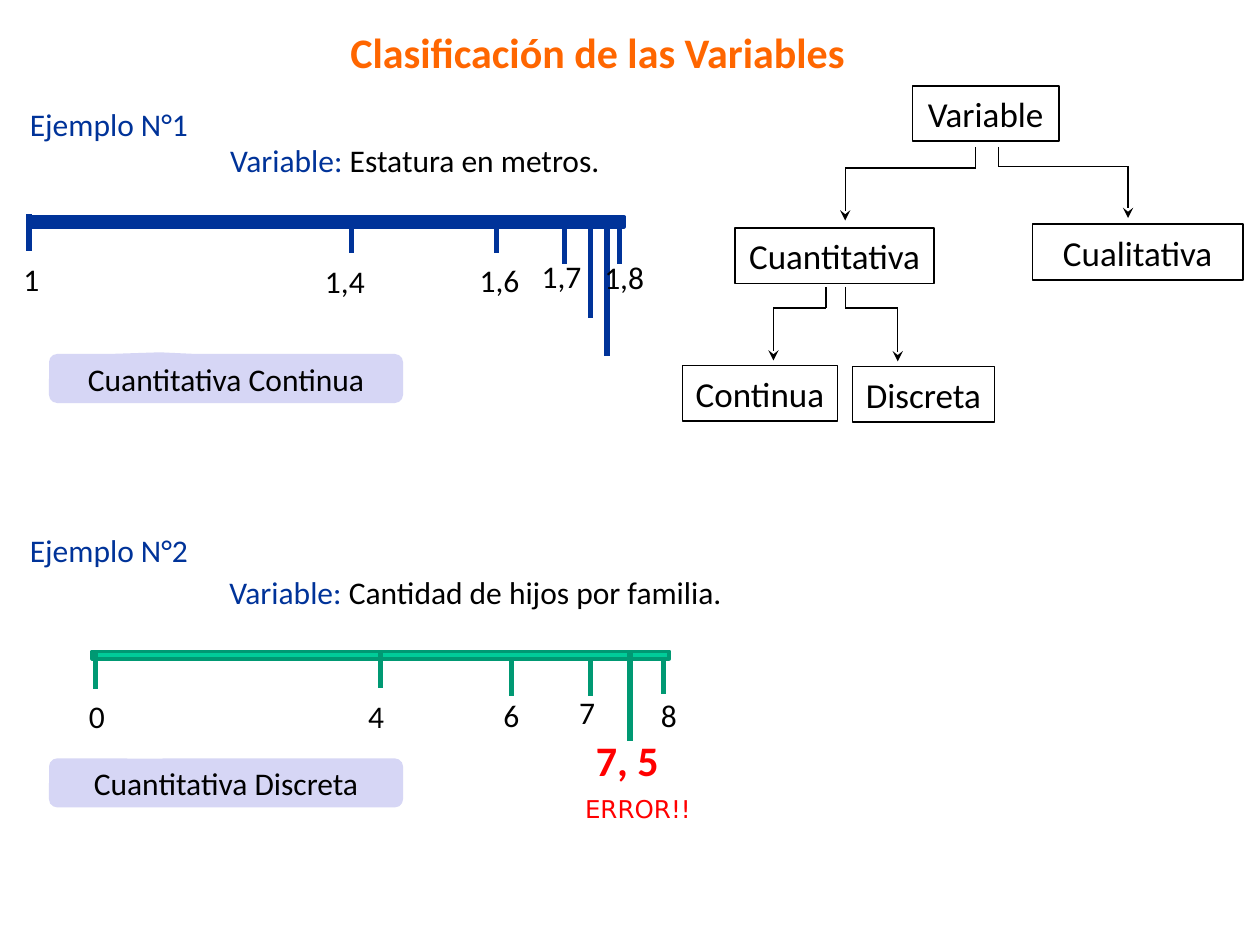
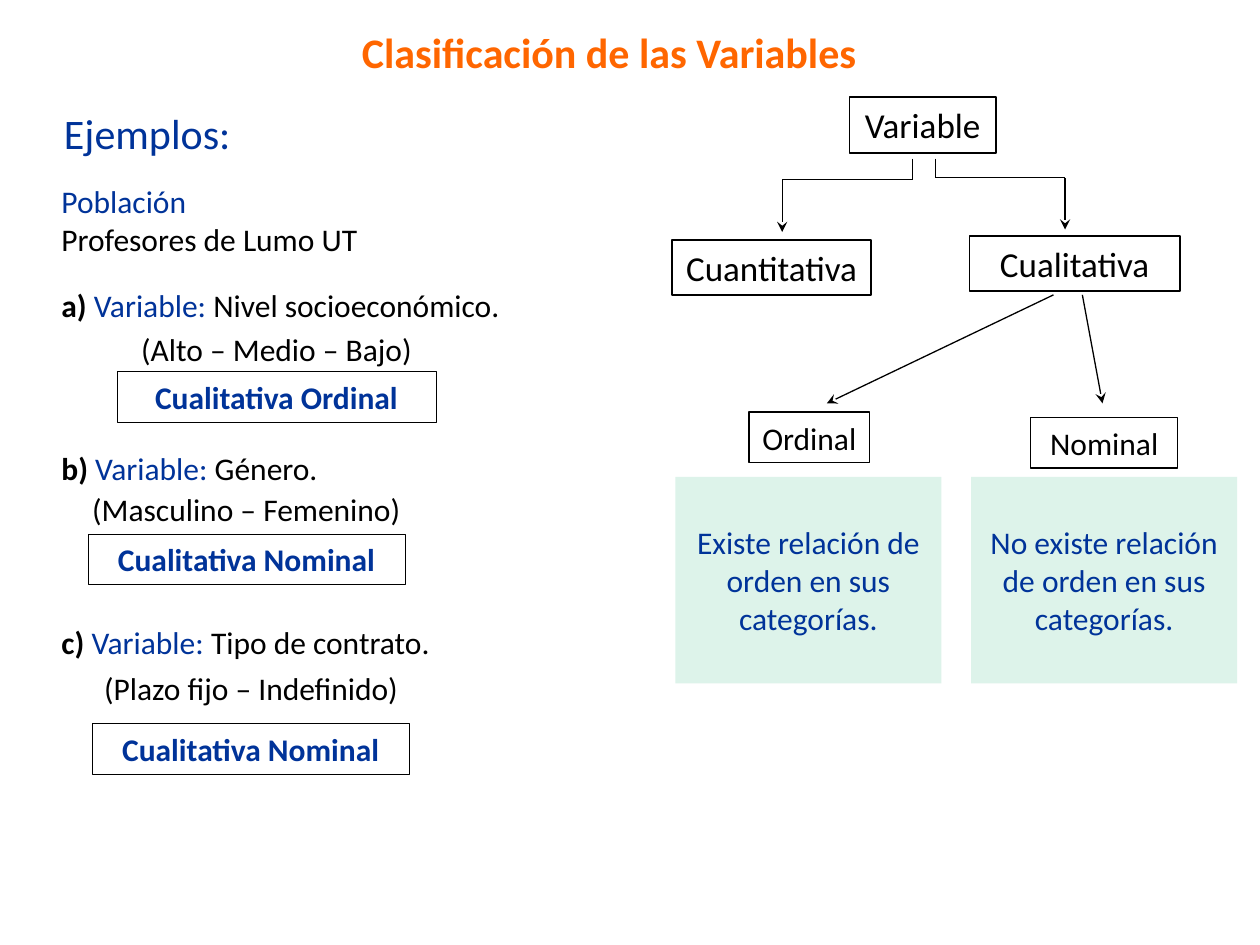
from dataclasses import dataclass
from lxml import etree
from pptx import Presentation
from pptx.dml import color
from pptx.enum import shapes, text
from pptx.oxml import ns
from pptx.util import Pt


@dataclass(frozen=True)
class Theme:
    font: str = "Calibri"
    alert_font: str = "DejaVu Sans"
    title: int = 24
    node: int = 20
    body: int = 18
    alert_size: int = 14
    orange: str = "FF6600"
    navy: str = "003399"
    black: str = "000000"
    white: str = "FFFFFF"
    red: str = "FF0000"
    green: str = "00CC99"
    dark_green: str = "009973"
    mint: str = "DDF3EA"
    lilac: str = "D6D6F5"


THEME = Theme()
KIND = shapes.MSO_SHAPE
ALIGN = text.PP_ALIGN
LINE_HEIGHT = 29


def rgb(code):
    return color.RGBColor.from_string(code)


def span(words, tint=THEME.black, size=THEME.body, bold=False, font=THEME.font):
    return words, tint, size, bold, font


def write(box, paragraphs, align=ALIGN.CENTER, wrap=True):
    frame = box.text_frame
    frame.word_wrap = wrap
    frame.vertical_anchor = text.MSO_ANCHOR.MIDDLE
    for index, spans in enumerate(paragraphs):
        para = frame.add_paragraph() if index else frame.paragraphs[0]
        para.alignment = align
        for words, tint, size, bold, font in spans:
            run = para.add_run()
            run.text = words
            run.font.name = font
            run.font.size = Pt(size)
            run.font.bold = bold
            run.font.color.rgb = rgb(tint)


def add_text(page, area, spans, align=ALIGN.LEFT, wrap=True):
    box = page.shapes.add_textbox(*map(Pt, area))
    write(box, [spans], align, wrap)


def add_box(page, area, paragraphs=(), kind=KIND.RECTANGLE, fill=None, line=None,
            weight=0.75, align=ALIGN.CENTER, wrap=True, adjust=()):
    box = page.shapes.add_shape(kind, *map(Pt, area))
    box.shadow.inherit = False
    for index, value in enumerate(adjust):
        box.adjustments[index] = value
    if fill:
        box.fill.solid()
        box.fill.fore_color.rgb = rgb(fill)
    else:
        box.fill.background()
    if line:
        box.line.color.rgb = rgb(line)
        box.line.width = Pt(weight)
    else:
        box.line.fill.background()
    write(box, paragraphs, align, wrap)


def add_line(page, start, end, tint=THEME.black, weight=0.75, arrow=False):
    line = page.shapes.add_connector(
        shapes.MSO_CONNECTOR.STRAIGHT, *map(Pt, (*start, *end)))
    line.line.color.rgb = rgb(tint)
    line.line.width = Pt(weight)
    if arrow:
        etree.SubElement(line.line._get_or_add_ln(), ns.qn("a:tailEnd"), type="stealth")
    etree.SubElement(line._element.spPr, ns.qn("a:effectLst"))


def add_title(page, left):
    add_text(page, (left, 11.5, 483, 36),
             [span("Clasificación de las Variables", THEME.orange, THEME.title, True)],
             ALIGN.CENTER)


def add_node(page, area, label, size=THEME.node, weight=0.75):
    add_box(page, area, [[span(label, size=size)]], line=THEME.black,
            weight=weight, wrap=False)


def add_elbow(page, start, bend, tip):
    corner = tip[0], bend
    add_line(page, start, (start[0], bend))
    add_line(page, (start[0], bend), corner)
    add_line(page, corner, tip, arrow=True)


def variable_tree(page, left, top):
    add_node(page, (left + 101.5, top, 83.5, 31.7), "Variable", weight=1)
    add_node(page, (left, top + 81.4, 113.8, 31.7), "Cuantitativa", weight=1)
    add_node(page, (left + 170, top + 79.2, 120.2, 31.7), "Cualitativa", weight=1)
    add_elbow(page, (left + 137.5, top + 35), top + 47, (left + 63, top + 77))
    add_elbow(page, (left + 150.5, top + 35), top + 46, (left + 224.6, top + 75.6))


def quantitative_branch(page, left, top):
    add_elbow(page, (left + 82, top), top + 12, (left + 52, top + 42))
    add_elbow(page, (left + 93, top), top + 12, (left + 123, top + 42.5))
    add_node(page, (left, top + 45, 88.6, 31.7), "Continua")
    add_node(page, (left + 97, top + 45.5, 81.4, 31.7), "Discreta")


def qualitative_branch(page, left, top):
    add_line(page, (left + 216, top), (left + 86.5, top + 62), arrow=True)
    add_line(page, (left + 232.5, top), (left + 244, top + 62), arrow=True)
    add_node(page, (left + 42, top + 67, 69, LINE_HEIGHT), "Ordinal", THEME.body)
    add_node(page, (left + 203, top + 70, 84, LINE_HEIGHT), "Nominal", THEME.body)
    meanings = (("Existe relación de", "orden en sus", "categorías."),
                ("No existe relación", "de orden en sus", "categorías."))
    for column, lines in enumerate(meanings):
        add_box(page, (left + 169 * column, top + 104, 152, 118),
                [[span(line, THEME.navy)] for line in lines], fill=THEME.mint)


def example(page, top, number, topic, statement_area, verdict_top, verdict, pointer):
    add_box(page, statement_area,
            [[span("Variable: ", THEME.navy), span(topic)]],
            fill=THEME.white, align=ALIGN.JUSTIFY)
    add_text(page, (10, top, 152, LINE_HEIGHT), [span(f"Ejemplo N°{number}", THEME.navy)])
    add_box(page, (28, verdict_top, 202.3, 28), [[span(verdict)]],
            KIND.ROUNDED_RECTANGULAR_CALLOUT, THEME.lilac, adjust=(*pointer, 0.167))


def number_scale(page, area, fill, tint, ticks, labels):
    left, top = area[:2]
    add_box(page, area, kind=KIND.FLOWCHART_PROCESS, fill=fill, line=tint, weight=2)
    for x, start, length in ticks:
        add_line(page, (left + x, top + start), (left + x, top + start + length), tint, 3)
    for words, right, drop in labels:
        edge = left + right
        start = max(0, edge - 45)
        add_text(page, (start, top + drop, edge - start, LINE_HEIGHT),
                 [span(words)], ALIGN.RIGHT)


def quantitative_slide(page):
    add_title(page, 100)
    variable_tree(page, 420, 49)
    quantitative_branch(page, 390, 164)

    example(page, 56, 1, "Estatura en metros.", (124.5, 66.3, 227.5, 50.4),
            202.3, "Cuantitativa Continua", (-0.187, -0.535))
    number_scale(
        page, (16.5, 123.8, 340, 5.8), THEME.navy, THEME.navy,
        [(0, -1.4, 21), (184.4, 0, 21), (267.2, 0, 21), (306, 5.8, 21),
         (337.7, 5.8, 21), (321, 5.8, 52), (330.3, 5.8, 74)],
        [("1", 13, 21), ("1,4", 199, 22.4), ("1,6", 287.4, 21.6),
         ("1,7", 322.8, 19.5), ("1,8", 358.6, 20.2)])

    example(page, 300, 2, "Cantidad de hijos por familia.", (124, 313.2, 312.5, 50.4),
            433.4, "Cuantitativa Discreta", (-0.243, -0.495))
    number_scale(
        page, (52.6, 372.2, 329.8, 4.3), THEME.green, THEME.dark_green,
        [(2, 0.7, 21), (164.8, 0, 21), (239.7, 4.3, 21), (285, 4.3, 21),
         (326.5, 3.6, 21), (307.4, -0.7, 52)],
        [("0", 14.4, 22.4), ("4", 174, 22.4), ("6", 251.2, 21.6),
         ("7", 294.5, 20.2), ("8", 341.3, 21.6)])
    add_text(page, (326.5, 416, 57, 36),
             [span("7, 5", THEME.red, THEME.title, True)], ALIGN.RIGHT)
    add_text(page, (326.2, 450, 75.6, 24.5),
             [span("ERROR!!", THEME.red, THEME.alert_size, font=THEME.alert_font)],
             ALIGN.RIGHT, False)


def qualitative_example(page, top, letter, topic, categories, kind, values_area, kind_area):
    plain = {"fill": THEME.white, "line": THEME.white, "weight": 2}
    values_left, values_drop, values_width = values_area
    kind_left, kind_drop, kind_width = kind_area
    add_box(page, (values_left, top + values_drop, values_width, LINE_HEIGHT),
            [[span(categories)]], **plain)
    add_box(page, (28, top, 270, LINE_HEIGHT),
            [[span(f"{letter}) ", bold=True), span("Variable: ", THEME.navy), span(topic)]],
            align=ALIGN.LEFT)
    add_box(page, (kind_left, top + kind_drop, kind_width, LINE_HEIGHT),
            [[span(kind, THEME.navy, bold=True)]],
            fill=THEME.white, line=THEME.black, weight=0.25)


def qualitative_slide(page):
    add_title(page, 106.6)
    variable_tree(page, 384, 55.6)
    qualitative_branch(page, 386, 168.5)
    add_box(page, (28, 56.2, 112.3, 39.6),
            [[span("Ejemplos:", THEME.navy, THEME.title)]])
    add_box(page, (28, 100, 193, 51),
            [[span("Población", THEME.navy)], [span("Profesores de Lumo UT")]],
            fill=THEME.white, line=THEME.white, weight=2, align=ALIGN.LEFT)
    qualitative_example(page, 160, "a", "Nivel socioeconómico.", "(Alto – Medio – Bajo)",
                        "Cualitativa Ordinal", (67, 25, 182), (67, 52.4, 182))
    qualitative_example(page, 252.7, "b", "Género.", "(Masculino – Femenino)",
                        "Cualitativa Nominal", (39.6, 23.8, 202.3), (50.4, 52.4, 181))
    qualitative_example(page, 352, "c", "Tipo de contrato.", "(Plazo fijo – Indefinido)",
                        "Cualitativa Nominal", (46, 26.7, 195), (52.6, 61.2, 181.4))


def main():
    deck = Presentation()
    deck.slide_width, deck.slide_height = Pt(720), Pt(540)
    for build in (quantitative_slide, qualitative_slide):
        build(deck.slides.add_slide(deck.slide_layouts[6]))
    deck.save("out.pptx")


if __name__ == "__main__":
    main()
